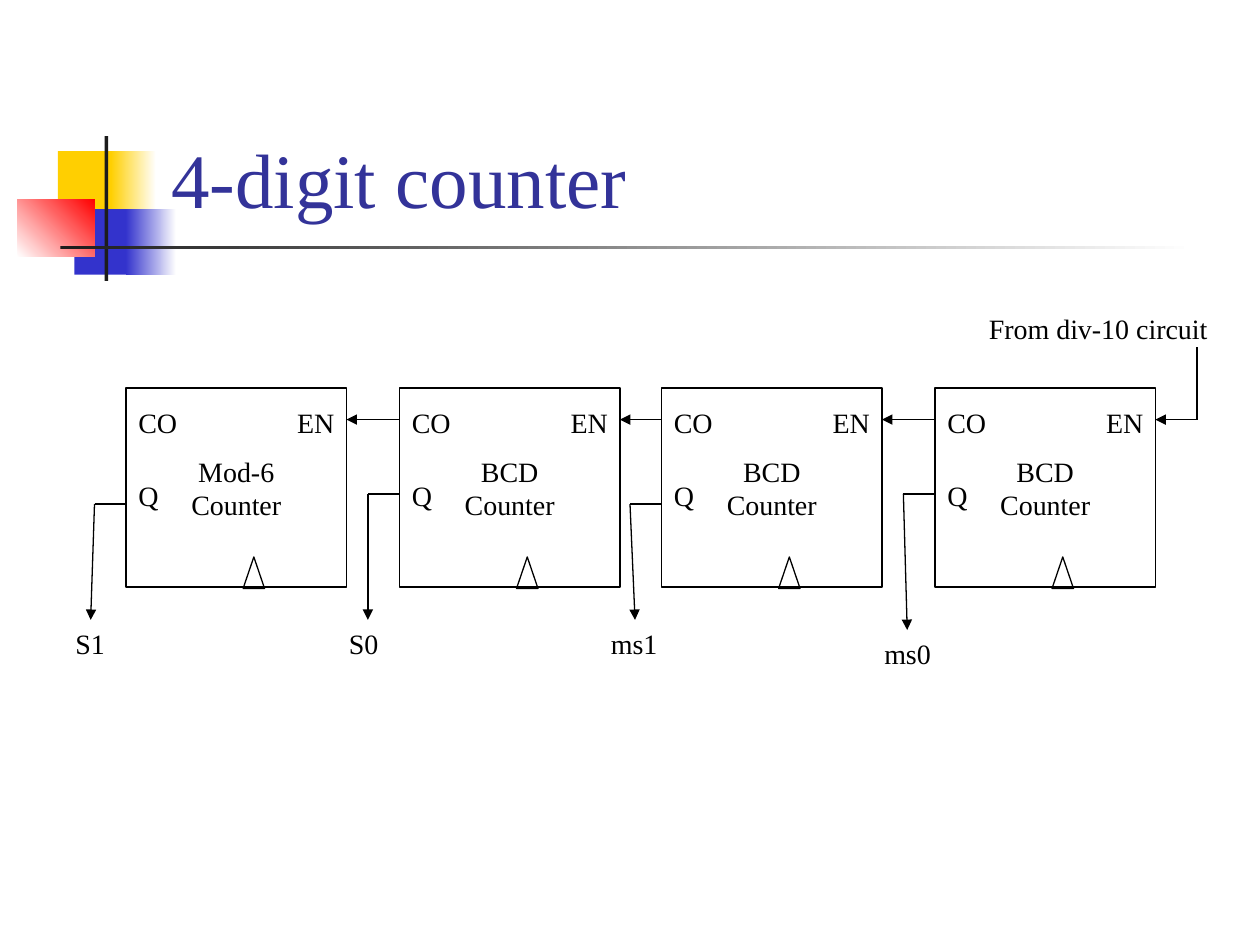
from dataclasses import dataclass

from lxml.etree import SubElement
from pptx import Presentation
from pptx.dml.color import RGBColor as RGB
from pptx.enum.shapes import MSO_CONNECTOR as Conn, MSO_SHAPE as Geo
from pptx.enum.text import MSO_ANCHOR as Anchor, MSO_AUTO_SIZE as Fit, PP_ALIGN as Align
from pptx.oxml.ns import qn
from pptx.util import Inches, Pt


@dataclass(frozen=True)
class Theme:
    """Colours, font and type sizes of the slide."""
    white: str = "FFFFFF"
    black: str = "000000"
    dark: str = "1C1C1C"
    yellow: str = "FFCF01"
    blue: str = "3333CC"
    red: str = "FF0000"
    title: str = "333399"
    font: str = "Times New Roman"
    title_size: int = 44
    body_size: int = 16
    line: float = 0.75


class Board:
    """Draws styled elements on the current slide."""

    def __init__(self, slide, theme):
        """Keep the slide and its theme."""
        self.s, self.t = slide, theme

    def add_lines(self, tf, lines, size, color, align):
        """Fill a text frame with one paragraph per line."""
        for i, line in enumerate(lines):
            p = tf.add_paragraph() if i else tf.paragraphs[0]
            p.alignment = align
            r = p.add_run()
            r.text = line
            r.font.name, r.font.size = self.t.font, Pt(size)
            r.font.color.rgb = RGB.from_string(color)

    def band(self, box, start, end=None, angle=0):
        """Add a borderless rectangle, plain or with a gradient."""
        sp = self.s.shapes.add_shape(Geo.RECTANGLE, *map(Inches, box))
        sp.shadow.inherit = False
        sp.line.fill.background()
        if end is None:
            sp.fill.solid()
            sp.fill.fore_color.rgb = RGB.from_string(start)
            return
        sp.fill.gradient()
        sp.fill.gradient_angle = angle
        for stop, color, place in zip(sp.fill.gradient_stops, (start, end), (0, 1)):
            stop.color.rgb = RGB.from_string(color)
            stop.position = place

    def outline(self, geo, box, lines=()):
        """Add an unfilled outlined shape with centred text."""
        sp = self.s.shapes.add_shape(geo, *map(Inches, box))
        sp.shadow.inherit = False
        sp.fill.background()
        sp.line.color.rgb = RGB.from_string(self.t.black)
        sp.line.width = Pt(self.t.line)
        tf = sp.text_frame
        tf.word_wrap, tf.vertical_anchor = False, Anchor.MIDDLE
        self.add_lines(tf, lines, self.t.body_size, self.t.black, Align.CENTER)

    def label(self, x, y, width, text):
        """Add a one-line label that fits its text."""
        tf = self.s.shapes.add_textbox(*map(Inches, (x, y, width, 0.37))).text_frame
        tf.word_wrap, tf.auto_size = False, Fit.SHAPE_TO_FIT_TEXT
        self.add_lines(tf, [text], self.t.body_size, self.t.black, Align.LEFT)

    def title(self, box, text):
        """Add the slide title, resting on the bottom of its box."""
        tf = self.s.shapes.add_textbox(*map(Inches, box)).text_frame
        tf.word_wrap, tf.vertical_anchor = True, Anchor.BOTTOM
        self.add_lines(tf, [text], self.t.title_size, self.t.title, Align.LEFT)

    def wire(self, start, end, arrow=False):
        """Add a straight wire, with an arrowhead at its end if asked."""
        c = self.s.shapes.add_connector(Conn.STRAIGHT, *map(Inches, (*start, *end)))
        c.line.color.rgb = RGB.from_string(self.t.black)
        c.line.width = Pt(self.t.line)
        if arrow:
            SubElement(c.get_or_add_ln(), qn("a:tailEnd"), type="triangle")
        SubElement(c.element.spPr, qn("a:effectLst"))

    def counter(self, x, name):
        """Add a counter block with its pins and clock mark."""
        self.outline(Geo.RECTANGLE, (x, 3.08, BLOCK_W, 1.58), [name, "Counter"])
        self.outline(Geo.ISOSCELES_TRIANGLE, (x + 0.93, 4.42, 0.17, 0.25))
        self.label(x, 3.17, 0.51, "CO")
        self.label(x + 1.26, 3.17, 0.5, "EN")
        self.label(x, 3.75, 0.36, "Q")

    def output(self, x, q_y, tip, text, width):
        """Lead the Q pin down to its digit label."""
        bend = (x - 0.25, q_y)
        self.wire((x, q_y), bend)
        self.wire(bend, tip, arrow=True)
        self.label(x - 0.5, tip[1], width, text)


BLOCK_W = 1.75
CARRY_Y = 3.33
SOURCE_X = 9.5
STAGES = [
    (1, "Mod-6", 4, (0.72, 4.92), "S1", 0.44),
    (3.17, "BCD", 3.92, (2.92, 4.92), "S0", 0.44),
    (5.25, "BCD", 4, (5.04, 4.92), "ms1", 0.58),
    (7.42, "BCD", 3.92, (7.2, 5), "ms0", 0.58),
]


def main():
    """Build and save the slide."""
    prs = Presentation()
    prs.slide_width, prs.slide_height = Inches(10), Inches(7.5)
    t = Theme()
    board = Board(prs.slides.add_slide(prs.slide_layouts[6]), t)

    board.band((0.46, 1.2, 0.48, 0.52), t.yellow)
    board.band((0.88, 1.2, 0.36, 0.52), t.yellow, t.white)
    board.band((0.59, 1.66, 0.46, 0.52), t.blue)
    board.band((1, 1.66, 0.4, 0.52), t.blue, t.white)
    board.band((0.14, 1.58, 0.61, 0.46), t.white, t.red, angle=45)
    board.band((0.83, 1.08, 0.03, 1.15), t.dark)
    board.band((0.48, 1.95, 9, 0.03), t.dark, t.white)
    board.title((1.26, 0.23, 8.52, 1.6), "4-digit counter")

    carry_from = [stage[0] for stage in STAGES[1:]] + [SOURCE_X]
    for (x, name, q_y, tip, digit, width), feed in zip(STAGES, carry_from):
        board.counter(x, name)
        board.output(x, q_y, tip, digit, width)
        board.wire((feed, CARRY_Y), (x + BLOCK_W, CARRY_Y), arrow=True)

    board.wire((SOURCE_X, CARRY_Y), (SOURCE_X, 2.75))
    board.label(7.75, 2.42, 1.97, "From div-10 circuit")
    prs.save("out.pptx")


if __name__ == "__main__":
    main()
